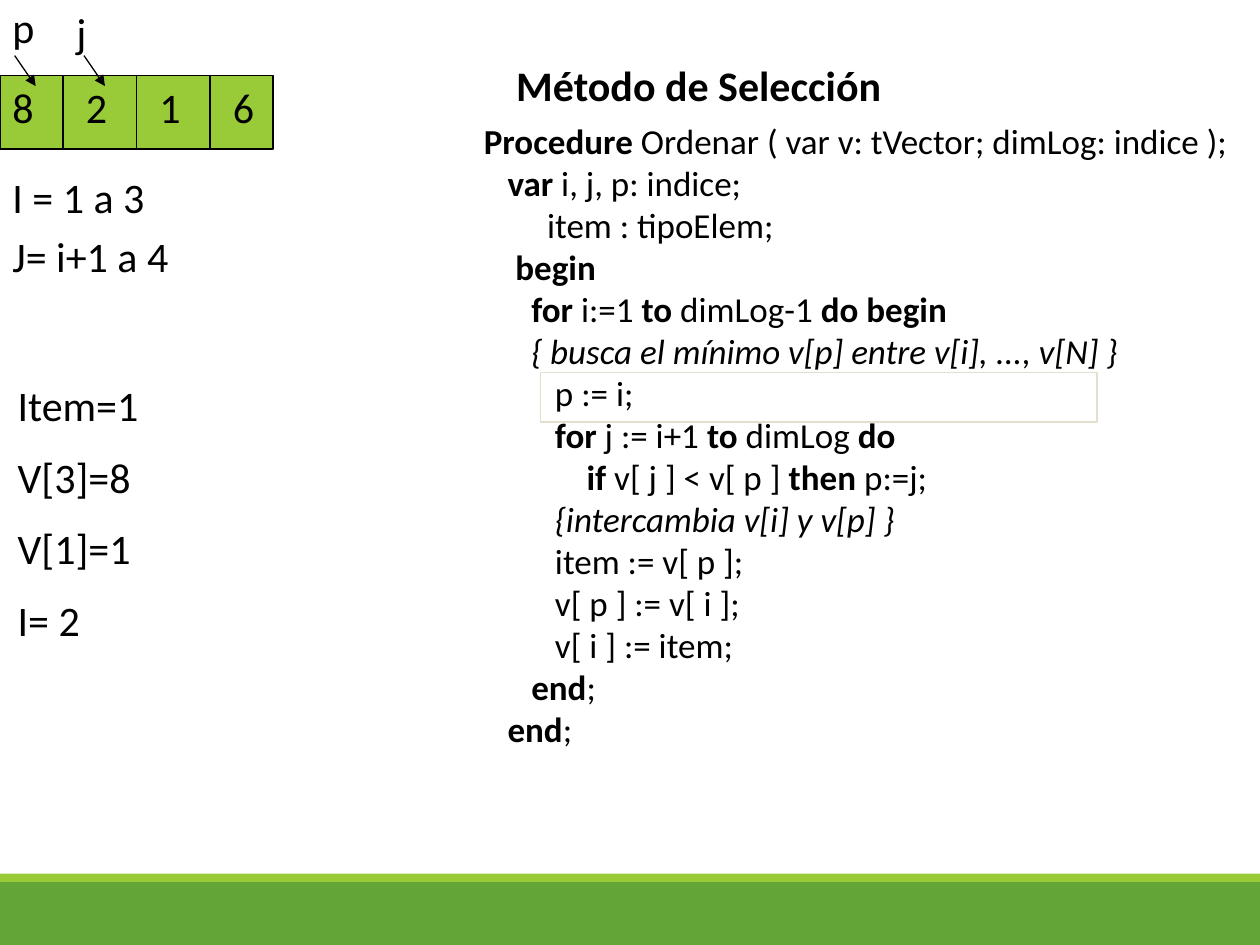
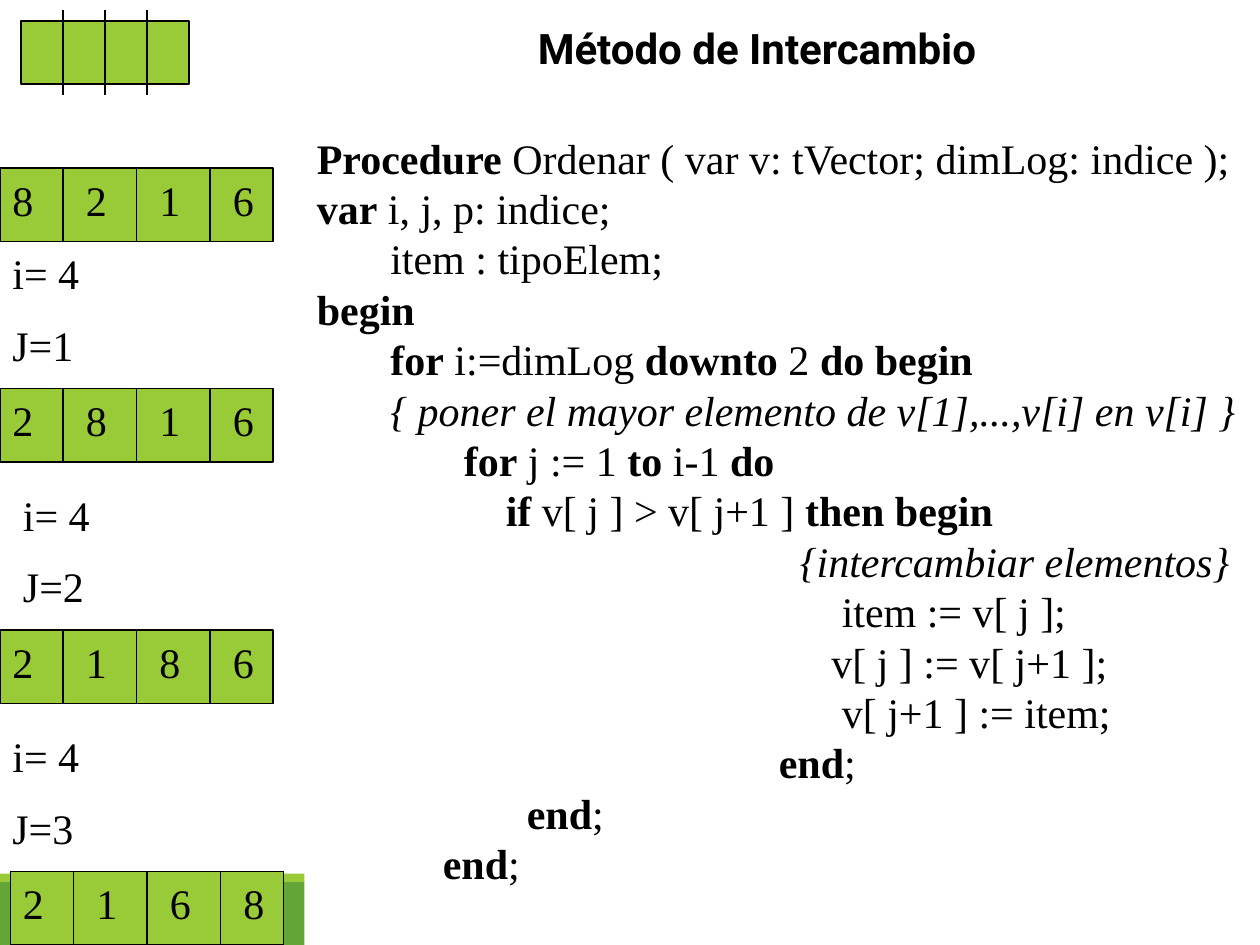
from itertools import cycle

from lxml import etree
from pptx import Presentation, util as u
from pptx.dml.color import RGBColor
from pptx.enum import shapes, text
from pptx.oxml.ns import qn

BLACK = RGBColor(0x00, 0x00, 0x00)
WHITE = RGBColor(0xFF, 0xFF, 0xFF)
LIME = RGBColor(0x99, 0xCB, 0x38)
GREEN = RGBColor(0x63, 0xA5, 0x37)
SAND = RGBColor(0xE2, 0xDF, 0xCC)
COLS, ROWS = 120, 90
WIDE, TALL = u.Inches(10), u.Inches(7.5)
SANS, SERIF, HEAD = "Calibri", "Times New Roman", "Roboto"
LEAD = {SANS: None, SERIF: u.Pt(28.8)}
SPACE = {SANS: 0.226, SERIF: 0.25}

SELECT = [
    (0, "*Procedure* Ordenar ( var v: tVector; dimLog: indice );"),
    (3, "*var* i, j, p: indice;"),
    (8, "item : tipoElem;"),
    (4, "*begin*"),
    (6, "*for* i:=1 *to* dimLog-1 *do begin*"),
    (6, "{ busca el mínimo v[p] entre v[i], ..., v[N] }"),
    (9, "p := i;"),
    (9, "*for* j := i+1 *to* dimLog *do*"),
    (13, "*if* v[ j ] < v[ p ] *then* p:=j;"),
    (9, "{intercambia v[i] y v[p] }"),
    (9, "item := v[ p ];"),
    (9, "v[ p ] := v[ i ];"),
    (9, "v[ i ] := item;"),
    (6, "*end*;"),
    (3, "*end*;"),
]
SWAP = [
    (0, "*Procedure* Ordenar ( var v: tVector; dimLog: indice );"),
    (0, "*var* i, j, p: indice;"),
    (7, "item : tipoElem;"),
    (0, "*begin*"),
    (7, "*for* i:=dimLog *downto* 2 *do begin*"),
    (7, "{ poner el mayor elemento de v[1],...,v[i] en v[i] }"),
    (14, "*for* j := 1 *to* i-1 *do*"),
    (18, "*if* v[ j ] > v[ j+1 ] *then begin*"),
    (46, "{intercambiar elementos}"),
    (50, "item := v[ j ];"),
    (49, "v[ j ] := v[ j+1 ];"),
    (50, "v[ j+1 ] := item;"),
    (44, "*end*;"),
    (20, "*end*;"),
    (12, "*end*;"),
]


def grid(x, y):
    """Turn columns and rows into slide lengths."""
    return round(WIDE * x / COLS), round(TALL * y / ROWS)


def frame(box):
    """Turn a box in grid units into left, top, width, height."""
    x, y, w, h = box
    return grid(x, y) + grid(w, h)


def rect(home, box, fill=None, line=None):
    """Draw a flat rectangle."""
    shape = home.shapes.add_shape(shapes.MSO_SHAPE.RECTANGLE, *frame(box))
    shape.shadow.inherit = False
    if fill is None:
        shape.fill.background()
    else:
        shape.fill.solid()
        shape.fill.fore_color.rgb = fill
    if line is None:
        shape.line.fill.background()
    else:
        shape.line.color.rgb = line
        shape.line.width = u.Pt(0.75)
    return shape


def rule(home, x1, y1, x2, y2, arrow=False):
    """Draw a thin black line, with an arrowhead if asked."""
    line = home.shapes.add_connector(
        shapes.MSO_CONNECTOR.STRAIGHT, *grid(x1, y1), *grid(x2, y2))
    line.line.color.rgb = BLACK
    line.line.width = u.Pt(0.75)
    if arrow:
        etree.SubElement(line.line._get_or_add_ln(), qn("a:tailEnd"), type="triangle")
    etree.SubElement(line._element.spPr, qn("a:effectLst"))


def style(run, font=SANS, size=24, bold=False, italic=False):
    """Format one run."""
    run.font.name, run.font.size = font, u.Pt(size)
    run.font.bold, run.font.italic = bold, italic
    run.font.color.rgb = BLACK


def write(shape, lines, font=SANS, size=24, gap=0):
    """Fill a shape with (indent, text) lines; stars mark bold, a brace italic."""
    body = shape.text_frame
    body.word_wrap = True
    body.vertical_anchor = text.MSO_ANCHOR.TOP
    body.margin_right = 0
    for i, (dent, words) in enumerate(lines):
        para = body.add_paragraph() if i else body.paragraphs[0]
        para.alignment = text.PP_ALIGN.LEFT
        para.line_spacing = LEAD[font]
        para.space_before = u.Pt(gap if i else 0)
        if dent:
            pad = u.Pt(dent * SPACE[font] * size)
            para._p.get_or_add_pPr().set("marL", str(pad))
        for part, bold in zip(words.split("*"), cycle((False, True))):
            if part:
                run = para.add_run()
                run.text = part
                style(run, font, size, bold, part.startswith("{"))


def label(home, box, *lines, font=SANS):
    """Place plain lines of text."""
    note = home.shapes.add_textbox(*frame(box))
    write(note, [(0, line) for line in lines], font, gap=12)


def page(deck, title, box, font):
    """Add a slide with its green bands and a centred title."""
    slide = deck.slides.add_slide(deck.slide_layouts[5])
    rect(slide, (0, 84, COLS, 6), GREEN)
    rect(slide, (0, 83.2, COLS, 0.8), LIME)
    head = slide.shapes.title
    head.left, head.top, head.width, head.height = frame(box)
    body = head.text_frame
    body.auto_size = text.MSO_AUTO_SIZE.NONE
    body.vertical_anchor = text.MSO_ANCHOR.MIDDLE
    para = body.paragraphs[0]
    para.alignment = text.PP_ALIGN.CENTER
    run = para.add_run()
    run.text = title
    style(run, font, bold=True)
    return slide


def code(slide, box, lines, font, size):
    """Place a listing on a white panel."""
    write(rect(slide, box, WHITE), lines, font, size)


def array(slide, x, y, digits, font):
    """Draw a vector of four cells as one group."""
    group = slide.shapes.add_group_shape()
    rect(group, (x, y, 26, 7), LIME, BLACK)
    for i, digit in enumerate(digits):
        left = x + 7 * i
        if i:
            rule(group, left - 1, y, left - 1, y + 7)
        label(group, (left, y, 5, 6), digit, font=font)


def blank(slide, x, y):
    """Draw the empty vector with overhanging dividers."""
    rect(slide, (x, y, 16, 6), LIME, BLACK)
    for i in range(1, 4):
        rule(slide, x + 4 * i, y - 1, x + 4 * i, y + 7)


def point(slide, name, x, y, start):
    """Label an index and aim its arrow at a cell."""
    group = slide.shapes.add_group_shape()
    label(group, (x, y, 5.2, 6), name)
    rule(group, start, 5.3, start + 2, 8.2, arrow=True)


def select(deck):
    """Build the selection sort slide."""
    slide = page(deck, "Método de Selección", (21.2, 5.5, 90.7, 5.2), SANS)
    code(slide, (44.9, 10.8, 73.2, 69.2), SELECT, SANS, 20)
    array(slide, 0, 7.2, "8216", SANS)
    point(slide, "p", 0, -0.4, 1.4)
    point(slide, "j", 6.1, 0, 8)
    label(slide, (0, 15.7, 20.3, 6), "I = 1 a 3")
    label(slide, (0, 21.4, 20.3, 6), "J= i+1 a 4")
    label(slide, (0.5, 35.6, 20.3, 27.8), "Item=1", "V[3]=8", "V[1]=1", "I= 2")
    rect(slide, (51.5, 35.5, 53, 4.7), line=SAND)


def swap(deck):
    """Build the exchange sort slide."""
    slide = page(deck, "Método de Intercambio", (23.2, -1, 97.8, 11), HEAD)
    code(slide, (29, 12, 91, 78), SWAP, SERIF, 24)
    blank(slide, 2, 2)
    for x, y, digits in ((0, 16, "8216"), (0, 37, "2816"),
                         (0, 60, "2186"), (1, 83, "2168")):
        array(slide, x, y, digits, SERIF)
    for j, (x, y) in enumerate(((0, 23), (1, 46), (0, 69)), 1):
        label(slide, (x, y, 16, 13.2), "i= 4", f"J={j}", font=SERIF)


def main():
    """Build and save the deck."""
    deck = Presentation()
    deck.slide_width, deck.slide_height = WIDE, TALL
    select(deck)
    swap(deck)
    deck.save("out.pptx")


if __name__ == "__main__":
    main()
